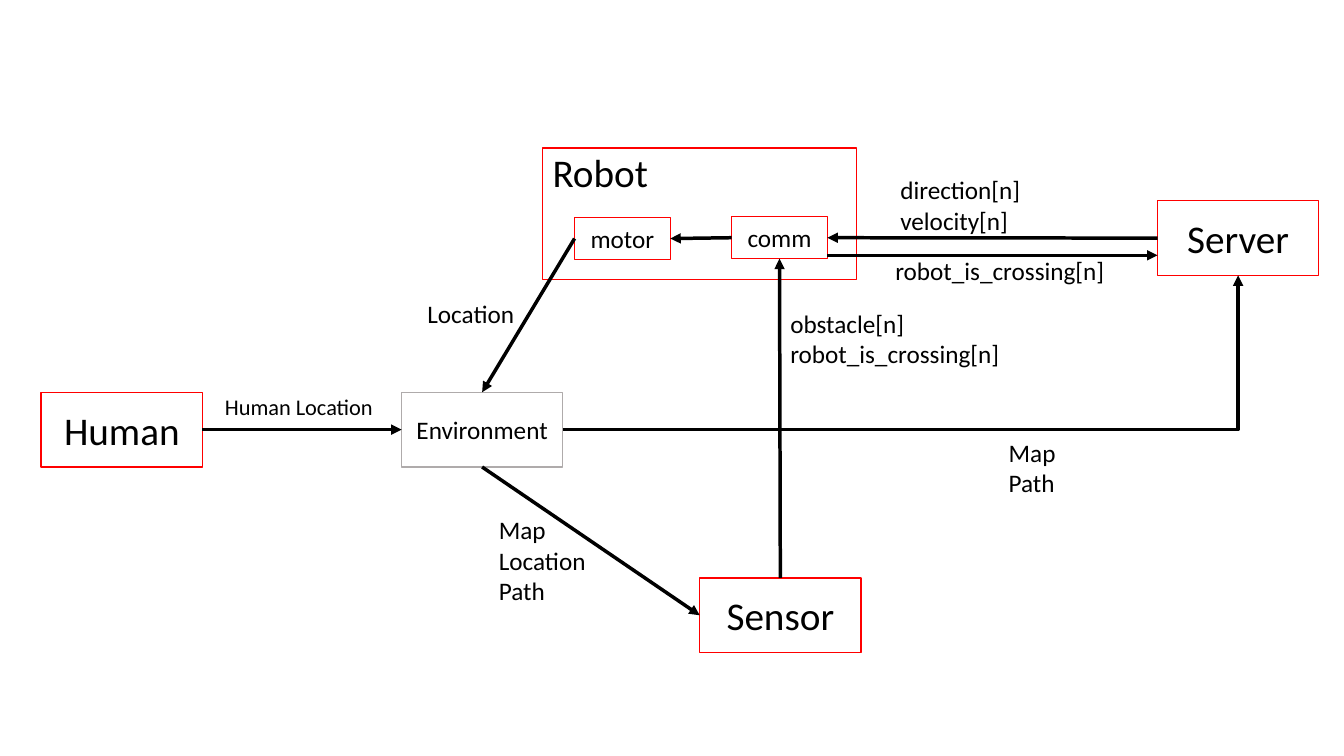
"""Build a data-flow slide linking a human, environment, robot, sensor and server."""
from lxml import etree
from pptx import Presentation
from pptx.dml.color import RGBColor
from pptx.enum.shapes import MSO_CONNECTOR, MSO_SHAPE
from pptx.enum.text import MSO_ANCHOR, PP_ALIGN
from pptx.oxml.ns import qn
from pptx.util import Inches, Pt

RECTANGLE = MSO_SHAPE.RECTANGLE
STRAIGHT, ELBOW = MSO_CONNECTOR.STRAIGHT, MSO_CONNECTOR.ELBOW
TOP, MIDDLE = MSO_ANCHOR.TOP, MSO_ANCHOR.MIDDLE
LEFT, CENTER = PP_ALIGN.LEFT, PP_ALIGN.CENTER
SITE_TOP, SITE_LEFT, SITE_BOTTOM, SITE_RIGHT = range(4)
COLORS = {"ink": "000000", "active": "FF0000", "passive": "AFABAB"}
COLUMNS, ROWS = 16, 9
NODE, PART = (1.92, 0.89), (1.14, 0.5)


class Diagram:
    """Draw boxes, labels and arrows on a slide divided into columns and rows."""

    font = "Calibri"

    def __init__(self, deck):
        self.slide = deck.slides.add_slide(deck.slide_layouts[6])
        self.column = deck.slide_width / COLUMNS
        self.row = deck.slide_height / ROWS

    def place(self, column, row):
        return round(column * self.column), round(row * self.row)

    def color(self, name):
        return RGBColor.from_string(COLORS[name])

    def typeset(self, frame, text, size, align, **layout):
        frame.text = text
        for key, value in {"word_wrap": True, **layout}.items():
            setattr(frame, key, value)
        for paragraph in frame.paragraphs:
            paragraph.alignment = align
            for key, value in {"name": self.font, "size": Pt(size)}.items():
                setattr(paragraph.font, key, value)
            paragraph.font.color.rgb = self.color("ink")

    def box(self, text, corner, extent, size=28, outline="active", align=CENTER, **layout):
        box = self.slide.shapes.add_shape(RECTANGLE, *self.place(*corner), *self.place(*extent))
        box.shadow.inherit = False
        box.fill.background()
        box.line.color.rgb = self.color(outline)
        box.line.width = Pt(1)
        self.typeset(box.text_frame, text, size, align, **{"vertical_anchor": MIDDLE, **layout})
        return box

    def label(self, text, corner, columns, size=18):
        lines = text.count("\n") + 1
        extent = columns, 0.12 + 0.02 * size * lines
        label = self.slide.shapes.add_textbox(*self.place(*corner), *self.place(*extent))
        self.typeset(label.text_frame, text, size, LEFT, vertical_anchor=TOP)

    def arrow(self, start, end, kind=STRAIGHT):
        arrow = self.slide.shapes.add_connector(kind, *self.place(*start), *self.place(*end))
        arrow.line.color.rgb = self.color("ink")
        arrow.line.width = Pt(2.5)
        etree.SubElement(arrow.line._get_or_add_ln(), qn("a:tailEnd"), type="triangle")
        etree.SubElement(arrow._element.spPr, qn("a:effectLst"))
        return arrow

    def link(self, source, source_site, target, target_site, kind=STRAIGHT):
        arrow = self.arrow((0, 0), (1, 1), kind)
        arrow.begin_connect(source, source_site)
        arrow.end_connect(target, target_site)
        return arrow

    def corner_link(self, source, source_site, target, target_site):
        arrow = self.link(source, source_site, target, target_site, ELBOW)
        arrow._element.spPr.find(qn("a:prstGeom")).set("prst", "bentConnector2")


def main():
    deck = Presentation()
    deck.slide_width, deck.slide_height = Inches(13.33), Inches(7.5)
    flow = Diagram(deck)

    flow.box("Robot", (6.46, 1.76), (3.74, 1.57), align=LEFT, vertical_anchor=TOP, margin_top=0)
    sensor = flow.box("Sensor", (8.33, 6.88), NODE)
    server = flow.box("Server", (13.78, 2.39), NODE)
    human = flow.box("Human", (0.49, 4.67), NODE)
    environment = flow.box("Environment", (4.78, 4.67), NODE, 18, "passive")
    motor = flow.box("motor", (6.84, 2.59), PART, 18)
    comm = flow.box("comm", (8.71, 2.58), PART, 18)

    for route in (
        (human, SITE_RIGHT, environment, SITE_LEFT),
        (motor, SITE_LEFT, environment, SITE_TOP),
        (environment, SITE_BOTTOM, sensor, SITE_LEFT),
        (sensor, SITE_TOP, comm, SITE_BOTTOM),
        (comm, SITE_LEFT, motor, SITE_RIGHT),
        (server, SITE_LEFT, comm, SITE_RIGHT),
    ):
        flow.link(*route)
    flow.corner_link(environment, SITE_RIGHT, server, SITE_BOTTOM)
    flow.arrow((9.85, 3.04), (13.78, 3.04))

    for label in (
        ("Human Location", (2.56, 4.62), 2.1, 16),
        ("Location", (4.97, 3.49), 1.44),
        ("Map\nLocation\nPath", (5.82, 6.07), 1.44),
        ("obstacle[n]\nrobot_is_crossing[n]", (9.29, 3.61), 2.84),
        ("direction[n]\nvelocity[n]", (10.6, 2.02), 2.44),
        ("robot_is_crossing[n]", (10.54, 2.98), 2.95),
        ("Map\nPath", (11.89, 5.15), 2.84),
    ):
        flow.label(*label)
    deck.save("out.pptx")


if __name__ == "__main__":
    main()
